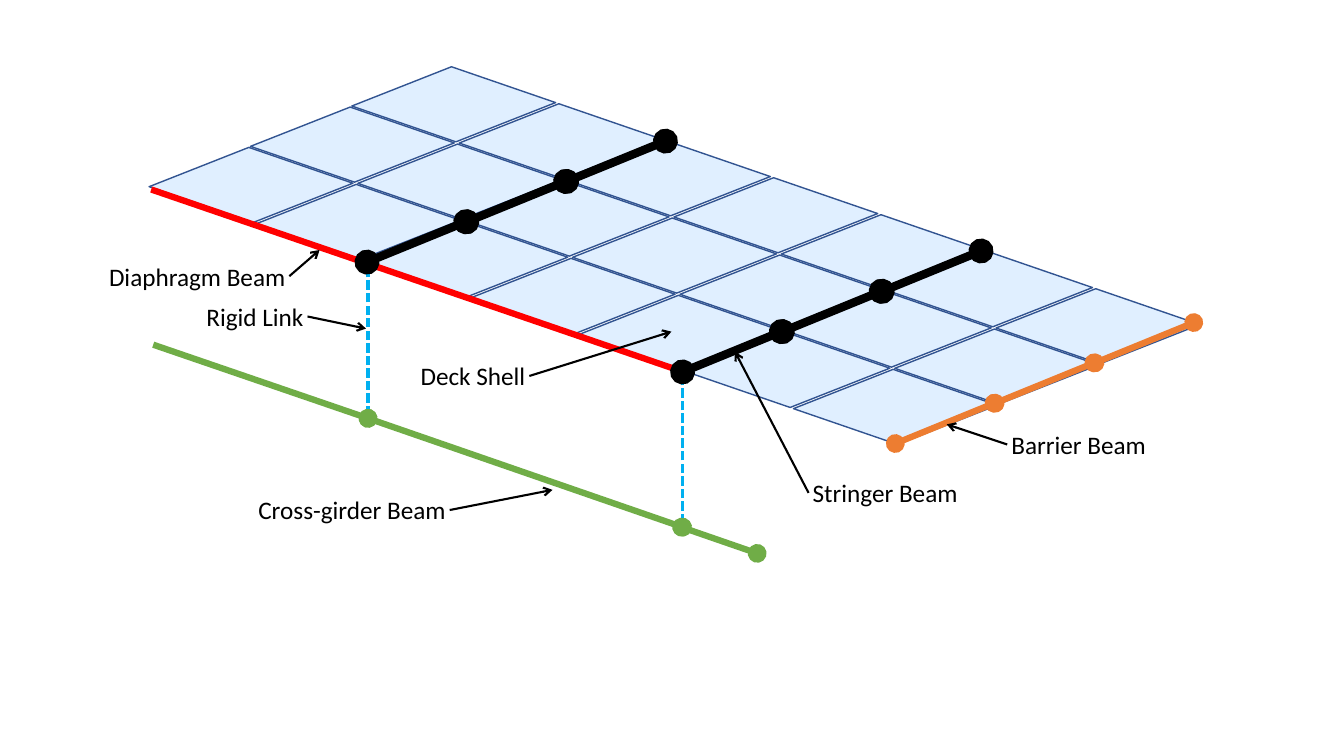
from typing import NamedTuple

from lxml.etree import SubElement
from pptx import Presentation
from pptx.dml.color import RGBColor
from pptx.enum.dml import MSO_LINE_DASH_STYLE as DASH
from pptx.enum.shapes import MSO_CONNECTOR, MSO_SHAPE
from pptx.enum.text import MSO_AUTO_SIZE, PP_ALIGN
from pptx.oxml.ns import qn
from pptx.util import Inches, Pt

BLACK = RGBColor(0x00, 0x00, 0x00)
RED = RGBColor(0xFF, 0x00, 0x00)
GREEN = RGBColor(0x70, 0xAD, 0x47)
ORANGE = RGBColor(0xED, 0x7D, 0x31)
CYAN = RGBColor(0x00, 0xB0, 0xF0)
PANEL_FILL = RGBColor(0x33, 0x99, 0xFF)
PANEL_LINE = RGBColor(0x32, 0x54, 0x91)

Point = tuple[float, float]


class Line(NamedTuple):
    start: Point
    end: Point
    color: RGBColor
    width: float
    head: str = ""
    tail: str = ""
    dashed: bool = False


class Girder(NamedTuple):
    start: Point
    color: RGBColor
    width: float


class Label(NamedTuple):
    text: str
    left: float
    top: float
    tip: Point
    width: float = 2.22
    right_aligned: bool = True


RIGID_LINKS = [
    Line((x, y + 1.5), (x, y), CYAN, 2.25, dashed=True)
    for x, y in ((6.77, 3.69), (3.65, 2.62))
]
CROSS_BEAMS = [
    Line((3.63, 2.61), (6.75, 3.68), RED, 4.5, "oval", "oval"),
    Line((1.5, 1.88), (3.63, 2.61), RED, 4.5, tail="oval"),
    Line((3.65, 4.15), (6.77, 5.23), GREEN, 4.5, "oval", "oval"),
    Line((1.52, 3.42), (3.65, 4.15), GREEN, 4.5, tail="oval"),
    Line((6.76, 5.23), (7.51, 5.49), GREEN, 4.5, "oval", "oval"),
]
GIRDERS = [
    Girder((8.88, 4.4), ORANGE, 4.5),
    Girder((3.64, 2.6), BLACK, 6),
    Girder((6.77, 3.69), BLACK, 6),
]
LABELS = [
    Label("Cross-girder Beam", 2.24, 4.86, (5.48, 4.86)),
    Label("Rigid Link", 0.83, 2.94, (3.63, 3.26)),
    Label("Diaphragm Beam", 0.65, 2.54, (3.17, 2.48)),
    Label("Barrier Beam", 9.99, 4.21, (9.39, 4.21), right_aligned=False),
    Label("Deck Shell", 4, 3.53, (6.66, 3.29), width=1.25),
    Label("Stringer Beam", 8.02, 4.69, (7.29, 3.49), right_aligned=False),
]
ROWS, COLUMNS = 3, 7


def draw_line(shapes, line: Line) -> None:
    s = shapes.add_connector(
        MSO_CONNECTOR.STRAIGHT, *(Inches(v) for v in line.start + line.end)
    )
    s.line.color.rgb = line.color
    s.line.width = Pt(line.width)
    if line.dashed:
        s.line.dash_style = DASH.SQUARE_DOT
    ln = s.line._get_or_add_ln()
    for tag, kind in (("a:headEnd", line.head), ("a:tailEnd", line.tail)):
        if kind:
            SubElement(ln, qn(tag)).set("type", kind)
    SubElement(s._element.spPr, qn("a:effectLst"))


def draw_panel(shapes, row: int, column: int) -> None:
    left = 1.54 + 1.065 * column + 1.005 * row
    top = 1.49 + 0.367 * column - 0.4 * row
    s = shapes.add_shape(
        MSO_SHAPE.PARALLELOGRAM,
        Inches(left), Inches(top), Inches(1.9), Inches(0.69),
    )
    s.adjustments[0] = 1.171
    s.rotation = 19
    s.shadow.inherit = False
    s.fill.solid()
    s.fill.fore_color.rgb = PANEL_FILL
    color = s._element.spPr.find(qn("a:solidFill"))[0]
    SubElement(color, qn("a:alpha")).set("val", "15000")
    s.line.color.rgb = PANEL_LINE
    s.line.width = Pt(1)


def draw_girder(shapes, girder: Girder) -> None:
    for i in range(3):
        x = girder.start[0] + 0.99 * i
        y = girder.start[1] - 0.4 * i
        draw_line(shapes, Line((x, y), (x + 0.98, y - 0.4),
                               girder.color, girder.width, "oval", "oval"))


def draw_label(shapes, label: Label) -> None:
    s = shapes.add_textbox(Inches(label.left), Inches(label.top),
                           Inches(label.width), Inches(0.4))
    tf = s.text_frame
    tf.text = label.text
    tf.word_wrap = True
    tf.auto_size = MSO_AUTO_SIZE.SHAPE_TO_FIT_TEXT
    tf.margin_left = Inches(0.1 if label.right_aligned else 0.04)
    tf.margin_right = Inches(0.04)
    p = tf.paragraphs[0]
    p.alignment = PP_ALIGN.RIGHT if label.right_aligned else PP_ALIGN.LEFT
    font = p.runs[0].font
    font.name = "Calibri"
    font.size = Pt(18)
    font.color.rgb = BLACK
    x = label.left + (label.width if label.right_aligned else 0)
    draw_line(shapes, Line((x, label.top + 0.2), label.tip, BLACK, 1.5,
                           tail="arrow"))


prs = Presentation()
prs.slide_width = Inches(13.33)
prs.slide_height = Inches(7.5)
shapes = prs.slides.add_slide(prs.slide_layouts[6]).shapes

for link in RIGID_LINKS:
    draw_line(shapes, link)
for row in range(ROWS):
    for column in range(COLUMNS):
        draw_panel(shapes, row, column)
for beam in CROSS_BEAMS:
    draw_line(shapes, beam)
for girder in GIRDERS:
    draw_girder(shapes, girder)
for label in LABELS:
    draw_label(shapes, label)

prs.save("out.pptx")
